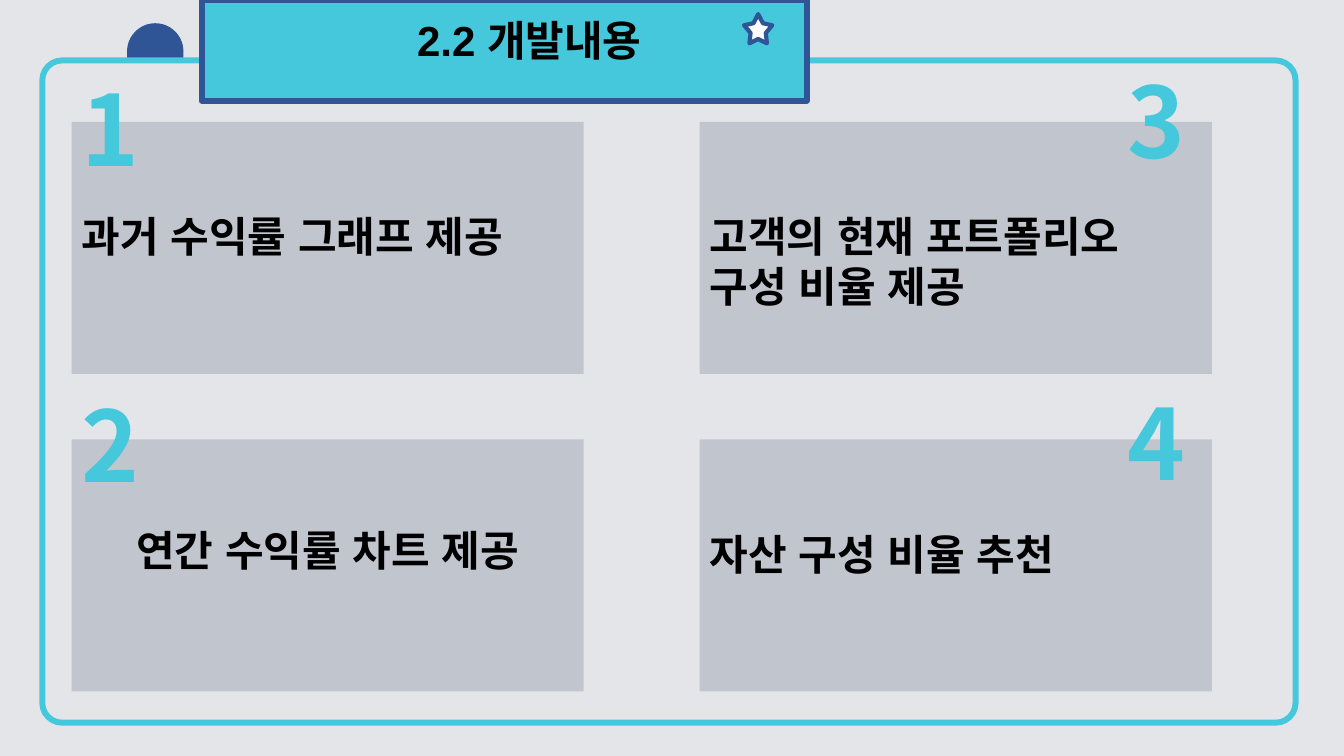
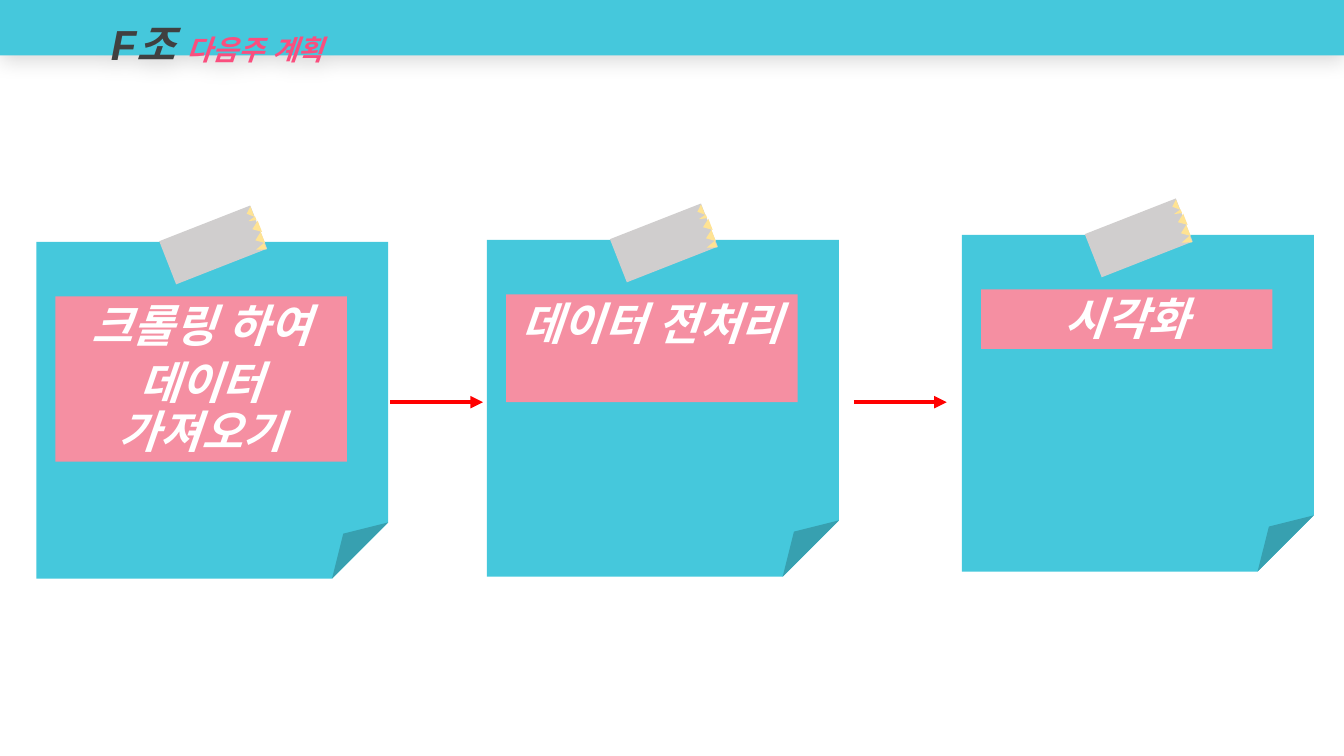
from lxml import etree
from pptx import Presentation
from pptx.dml.color import RGBColor
from pptx.enum.lang import MSO_LANGUAGE_ID
from pptx.enum.shapes import MSO_CONNECTOR, MSO_SHAPE
from pptx.enum.text import MSO_ANCHOR, PP_ALIGN
from pptx.oxml.ns import qn
from pptx.util import Inches, Pt

LEFT, CENTER = PP_ALIGN.LEFT, PP_ALIGN.CENTER
TOP = MSO_ANCHOR.TOP
KOREAN = MSO_LANGUAGE_ID.KOREAN
RECTANGLE, ROUNDED = MSO_SHAPE.RECTANGLE, MSO_SHAPE.ROUNDED_RECTANGLE
TAB, STAR = MSO_SHAPE.ROUND_2_SAME_RECTANGLE, MSO_SHAPE.STAR_5_POINT
NOTE, TOOTH = MSO_SHAPE.FOLDED_CORNER, MSO_SHAPE.FLOWCHART_MERGE
STRAIGHT = MSO_CONNECTOR.STRAIGHT

WIDTH, HEIGHT = 13.33, 7.5
SANS, KOREAN_SANS = "Arial", "Noto Sans CJK KR"
COLORS = {
    "cyan": "45C8DC", "navy": "2F5597", "pale": "E3E5E9", "gray": "BDC1CB",
    "white": "FFFFFF", "black": "000000", "dark": "404040", "pink": "FA4E7E",
    "rose": "F58FA2", "tape": "D0CECE", "tooth": "FFE393", "red": "FF0000",
}

# Text styles: font values, with the line pitch in points
HEADING = {"name": SANS, "size": 30, "color": "black", "bold": True, "pitch": 36}
HEADING_KOREAN = {**HEADING, "name": KOREAN_SANS}
NUMBER = {"name": KOREAN_SANS, "size": 70, "color": "cyan", "bold": True, "pitch": 86}
LABEL = {"name": KOREAN_SANS, "size": 32, "color": "white", "bold": True,
         "italic": True, "pitch": 35}
BAND = {"name": SANS, "size": 30, "color": "dark", "bold": True, "italic": True,
        "pitch": 36}
BAND_TOPIC = {**BAND, "name": KOREAN_SANS, "size": 20, "color": "pink"}

# Slide 1 content
BANNER_TITLE = "2.2 개발내용"
BOX_COLUMNS, BOX_ROWS, BOX_SIZE = (0.71, 6.94), (1.21, 4.36), (5.08, 2.5)
FEATURES = [  # column, row, lines, style, alignment, text inset, number, number place
    (0, 0, ["과거 수익률 그래프 제공"], HEADING, LEFT, 0.88, "1", (0.71, 0.6)),
    (0, 1, ["연간 수익률 차트 제공"], HEADING_KOREAN, CENTER, 0.84, "2", (0.71, 3.74)),
    (1, 0, ["고객의 현재 포트폴리오", "구성 비율 제공"], HEADING, LEFT, 0.88,
     "3", (11.08, 0.52)),
    (1, 1, ["자산 구성 비율 추천"], HEADING, LEFT, 0.88, "4", (11.08, 3.72)),
]
# Banner outline: a pair is a corner, three pairs are a curve
BANNER_START = (1.6, 0.26)
BANNER_OUTLINE = [
    (7.38, 0.26), ((7.5, 0.26), (7.6, 0.35), (7.6, 0.47)),
    (7.6, 0.73), ((7.6, 0.84), (7.5, 0.93), (7.38, 0.93)),
    (2, 0.93), ((1.89, 0.93), (1.8, 0.89), (1.76, 0.82)),
    (1.74, 0.77), (1.74, 0.42), ((1.74, 0.36), (1.7, 0.31), (1.64, 0.28)),
    (1.6, 0.27),
]

# Slide 2 content
PLAN_TITLE = [("F조 ", BAND), ("다음주 계획", BAND_TOPIC)]
NOTE_SIZE, LABEL_WIDTH = (3.49, 3.34), 2.89
STEPS = [  # note place, label height, lines
    (0.36, 2.4, 1.64, ["크롤링 하여", "데이터 가져오기"]),
    (4.83, 2.38, 1.07, ["데이터 전처리"]),
    (9.54, 2.33, 0.59, ["시각화"]),
]
TAPE = (1.27, -0.2, 0.97, 0.46)  # places measured from the note's corner
TEETH = [
    (2.06, -0.32, 0.11, 0.06), (2.12, -0.26, 0.04, 0.08), (2.12, -0.18, 0.12, 0.08),
    (2.15, -0.07, 0.12, 0.08), (2.19, 0.01, 0.07, 0.1),
]
ARROW_STARTS, ARROW_LENGTH, ARROW_Y = (3.87, 8.47), 0.92, 3.99


def color(name):
    return RGBColor.from_string(COLORS[name])


def add_xml(parent, tag, **attributes):
    return etree.SubElement(parent, qn(tag), attributes)


def paint(shape, fill, line=None, weight=0):
    shape.shadow.inherit = False
    shape.fill.solid()
    shape.fill.fore_color.rgb = color(fill)
    if line:
        shape.line.color.rgb = color(line)
        shape.line.width = Pt(weight)
    else:
        shape.line.fill.background()
    return shape


def add_shape(shapes, kind, box, fill, line=None, weight=0, rotation=0):
    shape = shapes.add_shape(kind, *map(Inches, box))
    shape.rotation = rotation
    return paint(shape, fill, line, weight)


def write(shape, paragraphs, align=LEFT, left=0.1, top=0.05, after=0):
    """Fill a shape with paragraphs, each a list of (text, style) runs."""
    frame = shape.text_frame
    frame.word_wrap = True
    frame.vertical_anchor = TOP
    margins = {"left": left, "top": top, "right": 0.1, "bottom": 0.05}
    for side, value in margins.items():
        setattr(frame, f"margin_{side}", Inches(value))
    for index, runs in enumerate(paragraphs):
        paragraph = frame.add_paragraph() if index else frame.paragraphs[0]
        layout = {"alignment": align, "line_spacing": Pt(runs[0][1]["pitch"]),
                  "space_after": Pt(after)}
        for name, value in layout.items():
            setattr(paragraph, name, value)
        for text, style in runs:
            run = paragraph.add_run()
            run.text = text
            values = {"name": style["name"], "size": Pt(style["size"]),
                      "bold": style["bold"], "italic": style.get("italic", False),
                      "language_id": KOREAN}
            for name, value in values.items():
                setattr(run.font, name, value)
            run.font.color.rgb = color(style["color"])
            add_xml(run.font._element, "a:ea", typeface=KOREAN_SANS)


def curve(points, steps=8):
    """Points along a cubic curve, without its start."""
    for step in range(1, steps + 1):
        t = step / steps
        weights = ((1 - t) ** 3, 3 * t * (1 - t) ** 2, 3 * t * t * (1 - t), t ** 3)
        yield tuple(sum(w * p[axis] for w, p in zip(weights, points)) for axis in (0, 1))


def add_banner(shapes):
    points = [BANNER_START]
    for part in BANNER_OUTLINE:
        points.extend(curve((points[-1], *part)) if len(part) == 3 else [part])
    builder = shapes.build_freeform(*points[0], scale=Inches(1))
    builder.add_line_segments(points[1:], close=True)
    banner = paint(builder.convert_to_shape(), "cyan", "navy", 4.25)
    write(banner, [[(BANNER_TITLE, HEADING)]], CENTER, left=0.6, top=0.14)


def add_arrow(shapes, start):
    ends = (start, ARROW_Y, start + ARROW_LENGTH, ARROW_Y)
    arrow = shapes.add_connector(STRAIGHT, *map(Inches, ends))
    arrow.line.color.rgb = color("red")
    arrow.line.width = Pt(3)
    add_xml(arrow.line._get_or_add_ln(), "a:tailEnd", type="triangle")
    add_xml(arrow._element.spPr, "a:effectLst")


def new_slide(presentation, background):
    slide = presentation.slides.add_slide(presentation.slide_layouts[6])
    slide.background.fill.solid()
    slide.background.fill.fore_color.rgb = color(background)
    return slide.shapes


def build_features(presentation):
    shapes = new_slide(presentation, "pale")

    # Frame and banner
    tab = add_shape(shapes, TAB, (1.29, 0.26, 0.5, 0.98), "navy", "navy", 4.25)
    tab.adjustments[0] = 0.5
    frame = add_shape(shapes, ROUNDED, (0.42, 0.6, 12.43, 6.57), "pale", "cyan", 4.25)
    frame.adjustments[0] = 0.03
    add_banner(shapes)
    star = add_shape(shapes, STAR, (7.38, 0.14, 0.28, 0.29), "white", "navy", 3)
    star.adjustments[0] = 0.27

    # Numbered boxes
    for column, row, lines, style, align, inset, number, place in FEATURES:
        box = add_shape(shapes, RECTANGLE,
                        (BOX_COLUMNS[column], BOX_ROWS[row], *BOX_SIZE), "gray")
        fill = box._element.spPr.find(qn("a:solidFill"))
        add_xml(fill[0], "a:alpha", val="87000")
        write(box, [[(line, style)] for line in lines], align, top=inset)
        label = shapes.add_textbox(*map(Inches, (*place, 1.41, 1.3)))
        write(label, [[(number, NUMBER)]])


def build_plan(presentation):
    shapes = new_slide(presentation, "white")

    # Title band with a soft shadow
    band = add_shape(shapes, RECTANGLE, (0, 0, WIDTH, 0.55), "cyan")
    effects = band._element.spPr.find(qn("a:effectLst"))
    shadow = add_xml(effects, "a:outerShdw", blurRad=str(Pt(15)), dist=str(Pt(3)),
                     dir="5400000", algn="t", rotWithShape="0")
    shade = add_xml(shadow, "a:srgbClr", val=COLORS["black"])
    add_xml(shade, "a:alpha", val="15000")
    write(band, [PLAN_TITLE], left=1.1, top=0.18)

    # Taped notes
    for left, top, label_height, lines in STEPS:
        add_shape(shapes, NOTE, (left, top, *NOTE_SIZE), "cyan")
        label = add_shape(shapes, RECTANGLE,
                          (left + 0.19, top + 0.54, LABEL_WIDTH, label_height), "rose")
        write(label, [[(line, LABEL)] for line in lines], CENTER, top=0.06, after=6)
        group = shapes.add_group_shape().shapes
        parts = [(RECTANGLE, TAPE, "tape", 338.6)]
        parts += [(TOOTH, tooth, "tooth", 68.6) for tooth in TEETH]
        for kind, (x, y, width, height), fill, rotation in parts:
            add_shape(group, kind, (left + x, top + y, width, height), fill,
                      rotation=rotation)

    # Arrows between the notes
    for start in ARROW_STARTS:
        add_arrow(shapes, start)


def main():
    presentation = Presentation()
    presentation.slide_width = Inches(WIDTH)
    presentation.slide_height = Inches(HEIGHT)
    build_features(presentation)
    build_plan(presentation)
    presentation.save("out.pptx")


if __name__ == "__main__":
    main()
